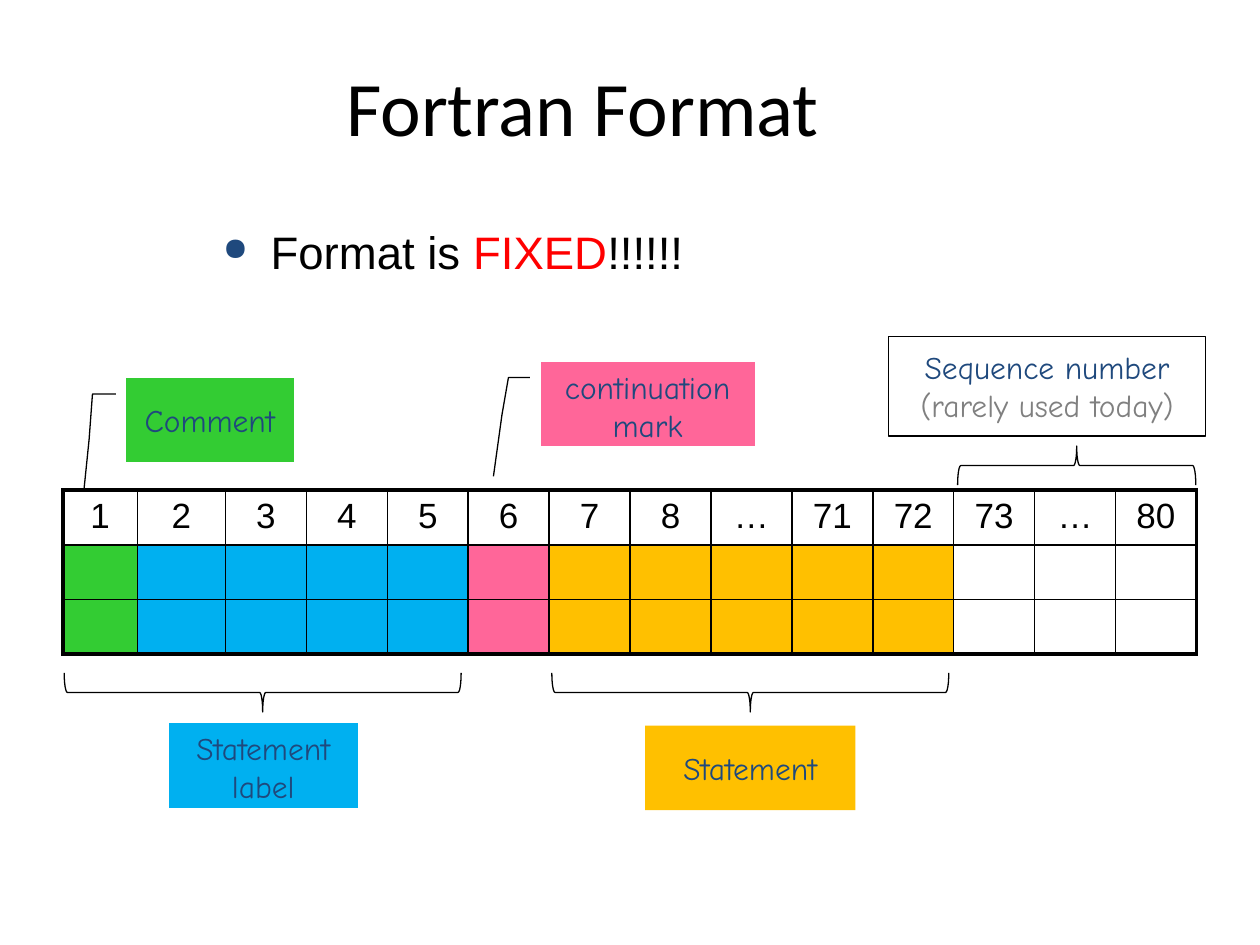
from lxml import etree
from pptx import Presentation
from pptx.dml.color import RGBColor
from pptx.enum.shapes import MSO_SHAPE
from pptx.enum.text import MSO_ANCHOR, PP_ALIGN
from pptx.oxml.ns import qn
from pptx.util import Inches, Pt

RECT = MSO_SHAPE.RECTANGLE
PROCESS = MSO_SHAPE.FLOWCHART_PROCESS
CALLOUT = MSO_SHAPE.LINE_CALLOUT_3_NO_BORDER
BRACE = MSO_SHAPE.LEFT_BRACE
TOP, MIDDLE = MSO_ANCHOR.TOP, MSO_ANCHOR.MIDDLE
CENTER = PP_ALIGN.CENTER

BLACK, NAVY, GRAY, RED = "000000", "1F497D", "808080", "FF0000"
GREEN, BLUE, PINK, AMBER = "33CC33", "00B0F0", "FF6699", "FFC000"
LABEL_FONT = "Comic Neue"

HEADERS = ["1", "2", "3", "4", "5", "6", "7", "8", "…", "71", "72", "73", "…", "80"]
FIELD_FILLS = [GREEN] + [BLUE] * 4 + [PINK] + [AMBER] * 5 + [None] * 3


def rgb(value):
    return RGBColor.from_string(value)


def style_run(r, font, size, color):
    r.font.name = font
    r.font.size = Pt(size)
    r.font.color.rgb = rgb(color)


def paint(target, color):
    if color:
        target.fill.solid()
        target.fill.fore_color.rgb = rgb(color)
    else:
        target.fill.background()


def add_text_box(s, box):
    tf = s.shapes.add_textbox(*map(Inches, box)).text_frame
    tf.word_wrap = True
    return tf


def add_title(s, box, text):
    tf = add_text_box(s, box)
    tf.vertical_anchor = MIDDLE
    p = tf.paragraphs[0]
    p.text = text
    p.alignment = CENTER
    style_run(p.runs[0], "Calibri", 44, BLACK)


def add_bullet(s, box, parts):
    p = add_text_box(s, box).paragraphs[0]
    p.space_before = Pt(5.2)
    for text, color in parts:
        r = p.add_run()
        r.text = text
        style_run(r, "Arial", 26, color)
    pPr = p._p.get_or_add_pPr()
    pPr.set("marL", str(Inches(0.38)))
    pPr.set("indent", str(Inches(-0.38)))
    bu_color = etree.SubElement(pPr, qn("a:buClr"))
    etree.SubElement(bu_color, qn("a:srgbClr"), val=NAVY)
    etree.SubElement(pPr, qn("a:buSzPct"), val="70000")
    etree.SubElement(pPr, qn("a:buChar"), char="●")


def set_borders(cell, widths):
    tcPr = cell._tc.get_or_add_tcPr()
    for side, width in widths.items():
        ln = etree.SubElement(tcPr, qn(f"a:ln{side}"), w=str(Pt(width)))
        fill = etree.SubElement(ln, qn("a:solidFill"))
        etree.SubElement(fill, qn("a:srgbClr"), val=BLACK)


def add_column_table(s, box):
    rows, cols = 3, len(HEADERS)
    table = s.shapes.add_table(rows, cols, *map(Inches, box)).table
    table.first_row = table.horz_banding = False
    first_widths = [0.59, 0.7]
    rest = (box[2] - sum(first_widths)) / (cols - len(first_widths))
    for i, column in enumerate(table.columns):
        column.width = Inches(first_widths[i] if i < len(first_widths) else rest)
    for i, row in enumerate(table.rows):
        row.height = Inches(box[3] / rows)
        for j, cell in enumerate(row.cells):
            outer = {"L": j == 0, "R": j == cols - 1, "T": i == 0, "B": i == rows - 1}
            set_borders(cell, {side: 2.25 if edge else 1 for side, edge in outer.items()})
            paint(cell, FIELD_FILLS[j] if i else None)
            if i == 0:
                p = cell.text_frame.paragraphs[0]
                p.text = HEADERS[j]
                p.alignment = CENTER
                p.space_before = Pt(4)
                style_run(p.runs[0], "Arial", 20, BLACK)


def add_outline_shape(s, kind, box, fill, lined, adjustments=()):
    sp = s.shapes.add_shape(kind, *map(Inches, box))
    sp.shadow.inherit = False
    paint(sp, fill)
    if lined:
        sp.line.color.rgb = rgb(BLACK)
        sp.line.width = Pt(0.75)
    else:
        sp.line.fill.background()
    for i, value in enumerate(adjustments):
        sp.adjustments[i] = value
    return sp


def add_label(s, kind, box, lines, fill, anchor=MIDDLE, lined=False, adjustments=()):
    sp = add_outline_shape(s, kind, box, fill, lined, adjustments)
    tf = sp.text_frame
    tf.word_wrap = True
    tf.vertical_anchor = anchor
    tf.text = "\n".join(text for text, _ in lines)
    for p, (_, color) in zip(tf.paragraphs, lines):
        p.alignment = CENTER
        style_run(p.runs[0], LABEL_FONT, 18, color)


def add_brace(s, box, rotation):
    sp = add_outline_shape(s, BRACE, box, None, True, (0.08, 0.5))
    sp.rotation = rotation


def build_slide(prs):
    s = prs.slides.add_slide(prs.slide_layouts[6])
    add_title(s, (0.5, 0.13, 8.25, 1.42), "Fortran Format")
    add_column_table(s, (0.5, 3.89, 9, 1.3))
    add_label(s, CALLOUT, (1, 3, 1.33, 0.67), [("Comment", NAVY)], GREEN, lined=True,
              adjustments=(0.19, -0.06, 0.19, -0.2, 0.73, -0.22, 1.31, -0.25))
    add_label(s, PROCESS, (1.34, 5.74, 1.5, 0.67), [("Statement label", NAVY)], BLUE, TOP)
    add_label(s, CALLOUT, (4.29, 2.87, 1.7, 0.67), [("continuation mark", NAVY)], PINK, TOP,
              True, (0.19, -0.05, 0.19, -0.15, 0.63, -0.18, 1.36, -0.22))
    add_label(s, RECT, (5.12, 5.76, 1.67, 0.67), [("Statement", NAVY)], AMBER)
    add_label(s, RECT, (7.05, 2.67, 2.52, 0.79),
              [("Sequence number", NAVY), ("(rarely used today)", GRAY)], None, lined=True)
    add_bullet(s, (1.67, 1.73, 7.67, 0.92),
               [("Format is ", BLACK), ("FIXED", RED), ("!!!!!!", BLACK)])
    for left in (1.93, 5.8):
        add_brace(s, (left, 3.92, 0.31, 3.15), 270)
    add_brace(s, (8.39, 2.75, 0.31, 1.89), 90)


def main():
    prs = Presentation()
    prs.slide_width, prs.slide_height = Inches(10), Inches(7.5)
    build_slide(prs)
    prs.save("out.pptx")


if __name__ == "__main__":
    main()
